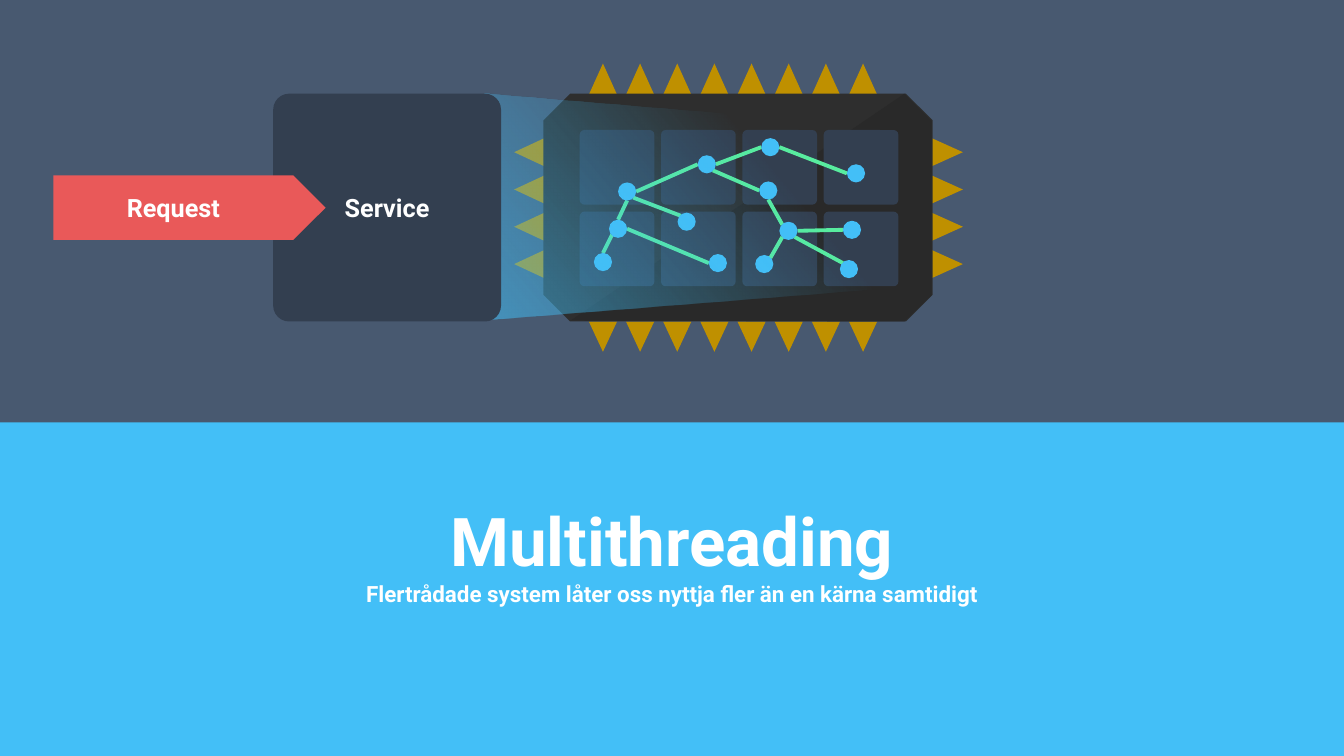
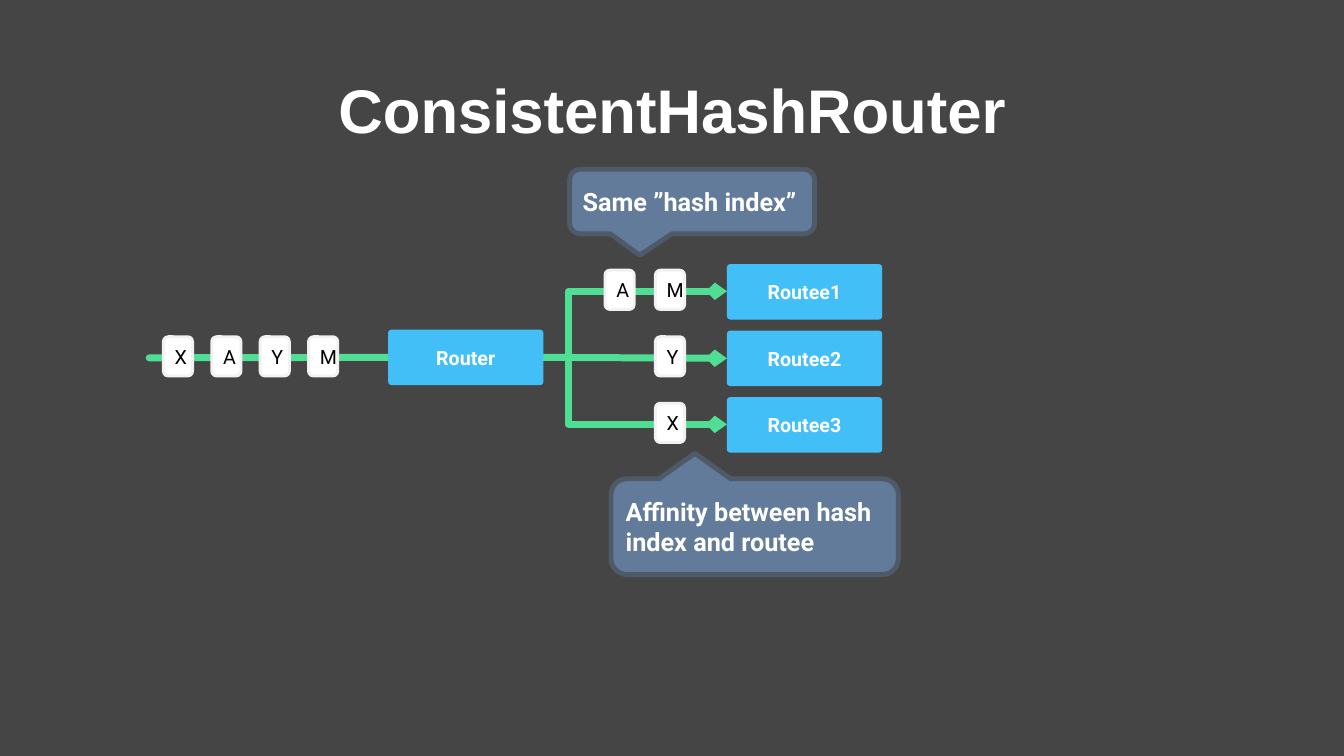
from itertools import product

from lxml import etree
from pptx import Presentation
from pptx.dml.color import RGBColor
from pptx.enum.shapes import MSO_CONNECTOR as CONNECTOR, MSO_SHAPE as SHAPE
from pptx.enum.text import MSO_ANCHOR, MSO_AUTO_SIZE, PP_ALIGN as ALIGN
from pptx.oxml.ns import qn
from pptx.util import Inches, Pt

COLORS = {
    "slate": "485970", "charcoal": "454545", "sky": "43BFF7", "gold": "BF9000",
    "chip": "2E2E2E", "chip_shade": "292929", "navy": "333F50", "mint": "58EC9F",
    "green": "50DE94", "red": "E95959", "white": "FFFFFF", "black": "000000",
    "token_edge": "F2F2F2", "callout": "637B9B", "callout_edge": "4F5A69",
}
RGB = {name: RGBColor.from_string(value) for name, value in COLORS.items()}
LABEL = {"name": "Roboto", "size": Pt(18), "bold": True}
BOX_LABEL = LABEL | {"size": Pt(14)}
TOKEN_LABEL = BOX_LABEL | {"bold": False}


def add_figure(slide, geometry, box, fill, text="", label=LABEL, ink="white",
               align=ALIGN.CENTER, edge=None, adjustments=()):
    if box:
        shape = slide.shapes.add_shape(geometry, *map(Inches, box))
    else:
        points = [(Inches(x), Inches(y)) for x, y in geometry]
        builder = slide.shapes.build_freeform(*points[0])
        builder.add_line_segments(points[1:], close=True)
        shape = builder.convert_to_shape()
    shape.shadow.inherit = False
    for index, value in enumerate(adjustments):
        shape.adjustments[index] = value
    shape.fill.solid()
    shape.fill.fore_color.rgb = RGB[fill]
    if edge:
        shape.line.color.rgb = RGB[edge[0]]
        shape.line.width = Pt(edge[1])
    else:
        shape.line.fill.background()
    if text:
        paragraph = shape.text_frame.paragraphs[0]
        paragraph.text = text
        paragraph.alignment = align
        for name, value in label.items():
            setattr(paragraph.font, name, value)
        paragraph.font.color.rgb = RGB[ink]
    return shape


def add_line(slide, start, end, color, width, kind=CONNECTOR.STRAIGHT):
    line = slide.shapes.add_connector(kind, *map(Inches, start + end))
    line.line.color.rgb = RGB[color]
    line.line.width = Pt(width)
    etree.SubElement(line.element.spPr, qn("a:effectLst"))
    return line


presentation = Presentation()
presentation.slide_width = Inches(13.33)
presentation.slide_height = Inches(7.5)
title_only = presentation.slide_layouts[5]

pages = [
    {"background": "slate", "box": (0, 4.19, 13.33, 3.31), "font": "Roboto", "spacing": 1.0,
     "lines": [("Multithreading", 48),
               ("Flertrådade system låter oss nyttja fler än en kärna samtidigt", 16)]},
    {"background": "charcoal", "box": (0.92, 0.4, 11.5, 1.45), "font": "Arial", "spacing": 0.9,
     "lines": [("ConsistentHashRouter", 44)]},
]
for page in pages:
    slide = presentation.slides.add_slide(title_only)
    slide.background.fill.solid()
    slide.background.fill.fore_color.rgb = RGB[page["background"]]
    title = slide.shapes.title
    title.left, title.top, title.width, title.height = map(Inches, page["box"])
    frame = title.text_frame
    frame.auto_size = MSO_AUTO_SIZE.NONE
    frame.word_wrap = True
    frame.vertical_anchor = MSO_ANCHOR.MIDDLE
    frame.text = "\n".join(text for text, size in page["lines"])
    for paragraph, (text, size) in zip(frame.paragraphs, page["lines"]):
        paragraph.alignment = ALIGN.CENTER
        paragraph.line_spacing = page["spacing"]
        for name, value in {"name": page["font"], "size": Pt(size), "bold": True}.items():
            setattr(paragraph.font, name, value)
        paragraph.font.color.rgb = RGB["white"]

threading_slide, router_slide = presentation.slides
band = threading_slide.shapes.title
band.fill.solid()
band.fill.fore_color.rgb = RGB["sky"]
band.text_frame.margin_bottom = Inches(0.77)

for column in range(8):
    x = 5.98 + column * 2.58 / 7
    for base, tip in ((0.94, 0.63), (3.19, 3.49)):
        add_figure(threading_slide, [(x - 0.14, base), (x, tip), (x + 0.14, base)], None, "gold")
for row in range(4):
    y = 1.51 + row * 0.37
    for base, tip in ((5.4, 5.1), (9.24, 9.55)):
        add_figure(threading_slide, [(base, y - 0.14), (tip, y), (base, y + 0.14)], None, "gold")

add_figure(threading_slide, SHAPE.OCTAGON, (5.39, 0.93, 3.86, 2.26), "chip", adjustments=[0.117])
chip_shade = [(5.66, 3.18), (8.97, 0.93), (9.24, 1.2), (9.24, 2.93), (8.97, 3.19)]
add_figure(threading_slide, chip_shade, None, "chip_shade")
for row, column in product(range(2), range(4)):
    add_figure(threading_slide, SHAPE.ROUNDED_RECTANGLE,
               (5.75 + column * 2.42 / 3, 1.29 + row * 0.81, 0.74, 0.74),
               "navy", adjustments=[0.062])

nodes = {
    "a": (7.12, 2.61), "b": (6.81, 2.2), "c": (6.13, 2.27), "d": (6.22, 1.9),
    "e": (7.62, 1.89), "f": (7.82, 2.29), "g": (7.58, 2.62), "h": (8.42, 2.67),
    "i": (8.45, 2.28), "j": (7.01, 1.63), "k": (8.49, 1.72), "l": (7.64, 1.46),
    "m": (5.98, 2.6),
}
sides = {
    "N": (0, -0.09), "S": (0, 0.09), "W": (-0.09, 0), "E": (0.09, 0),
    "NW": (-0.06, -0.06), "NE": (0.06, -0.06), "SW": (-0.06, 0.06), "SE": (0.06, 0.06),
}
threads = [
    ("j", "W", "d", "E"), ("d", "S", "c", "N"), ("c", "SW", "m", "N"), ("d", "SE", "b", "NW"),
    ("c", "E", "a", "W"), ("e", "S", "f", "NW"), ("f", "SW", "g", "NE"), ("f", "SE", "h", "NW"),
    ("j", "SE", "e", "W"), ("f", "E", "i", "W"), ("l", "W", "j", "E"), ("l", "E", "k", "W"),
]
for first, first_side, second, second_side in threads:
    start, end = (
        tuple(center + offset for center, offset in zip(nodes[node], sides[side]))
        for node, side in ((first, first_side), (second, second_side))
    )
    add_line(threading_slide, start, end, "mint", 2.75)
for x, y in nodes.values():
    add_figure(threading_slide, SHAPE.OVAL, (x - 0.09, y - 0.09, 0.18, 0.18), "sky")

beam_outline = [(4.81, 0.93), (8.88, 1.27), (8.98, 1.37), (8.98, 2.75), (8.88, 2.85), (4.84, 3.17)]
beam = add_figure(threading_slide, beam_outline, None, "sky")
beam.fill.gradient()
beam.fill.gradient_angle = 40
for stop, position in zip(beam.fill.gradient_stops, (0, 0.68)):
    stop.position = position
    stop.color.rgb = RGB["sky"]
for color, opacity in zip(beam.element.iter(qn("a:srgbClr")), (56, 0)):
    etree.SubElement(color, qn("a:alpha"), val=str(opacity * 1000))

add_figure(threading_slide, SHAPE.ROUNDED_RECTANGLE, (2.71, 0.93, 2.26, 2.26), "navy",
           "Service", adjustments=[0.07])
add_figure(threading_slide, SHAPE.RIGHT_ARROW, (0.53, 1.74, 2.7, 0.64), "red",
           "Request", adjustments=[1, 0.5])

middle = 3.55
routes = [
    ((5.39, middle), (7.21, 4.21), CONNECTOR.ELBOW),
    ((5.39, middle), (7.21, 2.89), CONNECTOR.ELBOW),
    ((5.39, middle), (7.21, middle), CONNECTOR.STRAIGHT),
    ((1.48, middle), (3.85, middle), CONNECTOR.STRAIGHT),
]
lines = []
for start, end, kind in routes:
    line = add_line(router_slide, start, end, "green", 5, kind)
    stroke = line.line._get_or_add_ln()
    stroke.set("cap", "rnd")
    etree.SubElement(stroke, qn("a:round"))
    if end[0] > 7:
        etree.SubElement(stroke, qn("a:tailEnd"), type="arrow", w="sm", len="sm")
    if kind == CONNECTOR.ELBOW:
        guides = line.element.spPr.find(qn("a:prstGeom")).find(qn("a:avLst"))
        etree.SubElement(guides, qn("a:gd"), name="adj1", fmla="val 13500")
    lines.append(line)

tokens = [(letter, 1.62 + index * 0.48, 3.34) for index, letter in enumerate("XAYM")]
tokens += [("A", 6, 2.68), ("M", 6.5, 2.68), ("Y", 6.5, 3.34), ("X", 6.5, 4)]
for letter, x, y in tokens:
    add_figure(router_slide, SHAPE.ROUNDED_RECTANGLE, (x, y, 0.29, 0.39), "white", letter,
               TOKEN_LABEL, "black", edge=("token_edge", 2))

boxes = {"Router": (3.85, 3.27)}
boxes |= {f"Routee{number}": (7.21, 1.96 + number * 0.66) for number in (1, 2, 3)}
for name, (x, y) in boxes.items():
    boxes[name] = add_figure(router_slide, SHAPE.ROUNDED_RECTANGLE, (x, y, 1.54, 0.55), "sky",
                             name, BOX_LABEL, adjustments=[0.062])
lines[2].begin_connect(boxes["Router"], 3)
lines[2].end_connect(boxes["Routee2"], 1)
lines[3].end_connect(boxes["Router"], 1)

callouts = [
    ("Same ”hash index”", (5.65, 1.68, 2.43, 0.64), [-0.214, 0.833, 0.167]),
    ("Affinity between hash index and routee", (6.06, 4.75, 2.85, 0.95), [-0.208, -0.766, 0.167]),
]
for text, box, adjustments in callouts:
    add_figure(router_slide, SHAPE.ROUNDED_RECTANGULAR_CALLOUT, box, "callout", text,
               align=ALIGN.LEFT, edge=("callout_edge", 3.5), adjustments=adjustments)

presentation.save("out.pptx")
